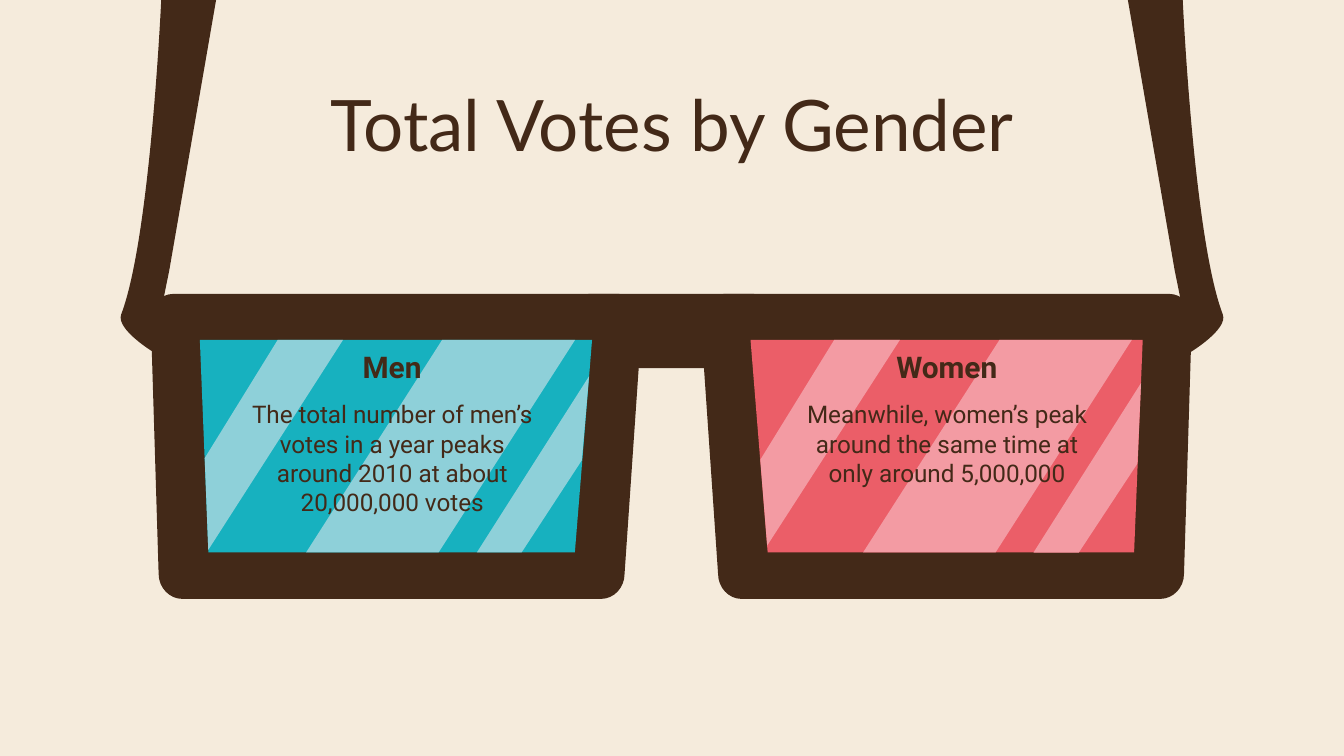
from lxml import etree
from pptx import Presentation
from pptx.dml.color import RGBColor
from pptx.enum.text import MSO_ANCHOR, MSO_AUTO_SIZE, PP_ALIGN
from pptx.oxml.ns import qn
from pptx.util import Pt

CENTER = PP_ALIGN.CENTER
TOP, MIDDLE = MSO_ANCHOR.TOP, MSO_ANCHOR.MIDDLE
NO_AUTOFIT = MSO_AUTO_SIZE.NONE

CREAM, BROWN = "F5EBDC", "432918"
SLIDE_WIDTH = 720
FRAME_MIRROR = 719.3  # left and right x of a mirrored frame point add up to this

presentation = Presentation()
presentation.slide_width, presentation.slide_height = Pt(SLIDE_WIDTH), Pt(405)
slide = presentation.slides.add_slide(presentation.slide_layouts[5])
slide.background.fill.solid()
slide.background.fill.fore_color.rgb = RGBColor.from_string(CREAM)


def draw_outline(outline, color, mirror=None):
    """Each step is a line (x, y) or a cubic curve (x1, y1, x2, y2, x, y)."""
    steps = [[(Pt(mirror - x if mirror else x), Pt(y))
              for x, y in zip(step[::2], step[1::2])] for step in outline]
    ends = [step[-1] for step in steps]
    builder = slide.shapes.build_freeform(*ends[0])
    builder.add_line_segments(ends[1:], close=True)
    shape = builder.convert_to_shape()
    # Turn the segments that have control points into cubic curves
    segments = list(shape.element.iter(qn("a:lnTo")))
    for segment, step in zip(segments, steps[1:]):
        if len(step) == 3:
            segment.tag = qn("a:cubicBezTo")
            for child in list(segment):
                segment.remove(child)
            for x, y in step:
                etree.SubElement(segment, qn("a:pt"), x=str(x - shape.left),
                                 y=str(y - shape.top))
    shape.shadow.inherit = False
    shape.fill.solid()
    shape.fill.fore_color.rgb = RGBColor.from_string(color)
    shape.line.fill.background()


def write_text(shape, box, text, font_name, size, bold=False, anchor=MIDDLE):
    shape.left, shape.top, shape.width, shape.height = map(Pt, box)
    frame = shape.text_frame
    frame.word_wrap = True
    frame.auto_size = NO_AUTOFIT
    frame.vertical_anchor = anchor
    frame.margin_left = frame.margin_right = Pt(7.2)
    frame.margin_top = frame.margin_bottom = Pt(7.2)
    paragraph = frame.paragraphs[0]
    paragraph.text = text
    paragraph.alignment = CENTER
    paragraph.font.name = font_name
    paragraph.font.size = Pt(size)
    paragraph.font.bold = bold
    paragraph.font.color.rgb = RGBColor.from_string(BROWN)


# Outlines of the glasses; the right side mirrors the left
bridge = [(315.4, 157.5), (308.9, 157.5, 303.8, 162.7, 303.8, 169.6),
          (303.8, 176.4, 308.9, 197.2, 315.4, 197.2), (404, 197.2),
          (410.5, 197.2, 415.6, 176.4, 415.6, 169.6),
          (415.6, 162.7, 410.5, 157.5, 404, 157.5)]
rim = [(92.8, 157.5), (86.1, 157.5, 80.8, 163.4, 80.8, 170.6), (85, 307.6),
       (85, 314.8, 90.7, 320.9, 97.8, 320.9), (322, 320.9),
       (329, 320.9, 334.6, 314.8, 334.6, 307.6), (342.1, 197.2), (344, 170.6),
       (344, 163.4, 338.4, 157.5, 331.4, 157.5)]
rim.remove((342.1, 197.2))
lens = [(107.1, 182.1), (111.7, 296), (308, 296), (317.2, 182.1)]
temple = [(86.4, -0.7), (86.4, -0.7, 80.6, 127.4, 64.9, 168.5),
          (61.9, 176.4, 82.1, 188.6, 82.1, 188.6),
          (83.5, 187.2, 87.8, 159.1, 87.8, 159.1), (90.7, 144.7), (115.9, -0.7)]

# Each side: mirror, lens colour, stripe colour, stripes, text left, heading, body
sides = [
    (None, "17B1BF", "8ED0D9",
     [[(148.8, 182.1), (109.7, 245.4), (111.6, 294.6), (183.8, 182.1)],
      [(236.9, 182.1), (164, 296), (235, 296), (308.1, 182.1)],
      [(315.6, 201.6), (255.5, 296), (279.5, 296), (311.8, 246.6)]],
     123.3, "Men",
     "The total number of men’s votes in a year peaks around 2010 at about "
     "20,000,000 votes"),
    (FRAME_MIRROR, "EB5E68", "F39BA3",
     [[(446.9, 182.1), (407.3, 246.3), (411, 292.3), (482.1, 182.1)],
      [(535.5, 182.1), (462.4, 296), (533.4, 296), (606.4, 182.1)],
      [(611.3, 205.2), (553.7, 296), (578, 296), (609.4, 248.4)]],
     420.5, "Women",
     "Meanwhile, women’s peak around the same time at only around 5,000,000"),
]

# Frame and tinted lenses
draw_outline(bridge, BROWN)
for mirror, lens_color, *_ in sides:
    draw_outline(rim, BROWN, mirror)
    draw_outline(lens, lens_color, mirror)

# Light stripes on the lenses
for _, _, stripe_color, stripes, *_ in sides:
    for stripe in stripes:
        draw_outline(stripe, stripe_color)

# Temples
for mirror in (None, SLIDE_WIDTH):
    draw_outline(temple, BROWN, mirror)

# Title
write_text(slide.shapes.title, (56.7, 42.5, 606.6, 46.8),
           "Total Votes by Gender", "Lato", 38)

# Text on the lenses
for *_, left, heading, body in sides:
    body_box = slide.shapes.add_textbox(0, 0, 0, 0)
    write_text(body_box, (left, 206.9, 173.5, 79.2), body, "Roboto", 13, anchor=TOP)
    heading_box = slide.shapes.add_textbox(0, 0, 0, 0)
    write_text(heading_box, (left, 185.6, 173.5, 21.6), heading, "Roboto", 16, bold=True)

presentation.save("out.pptx")
